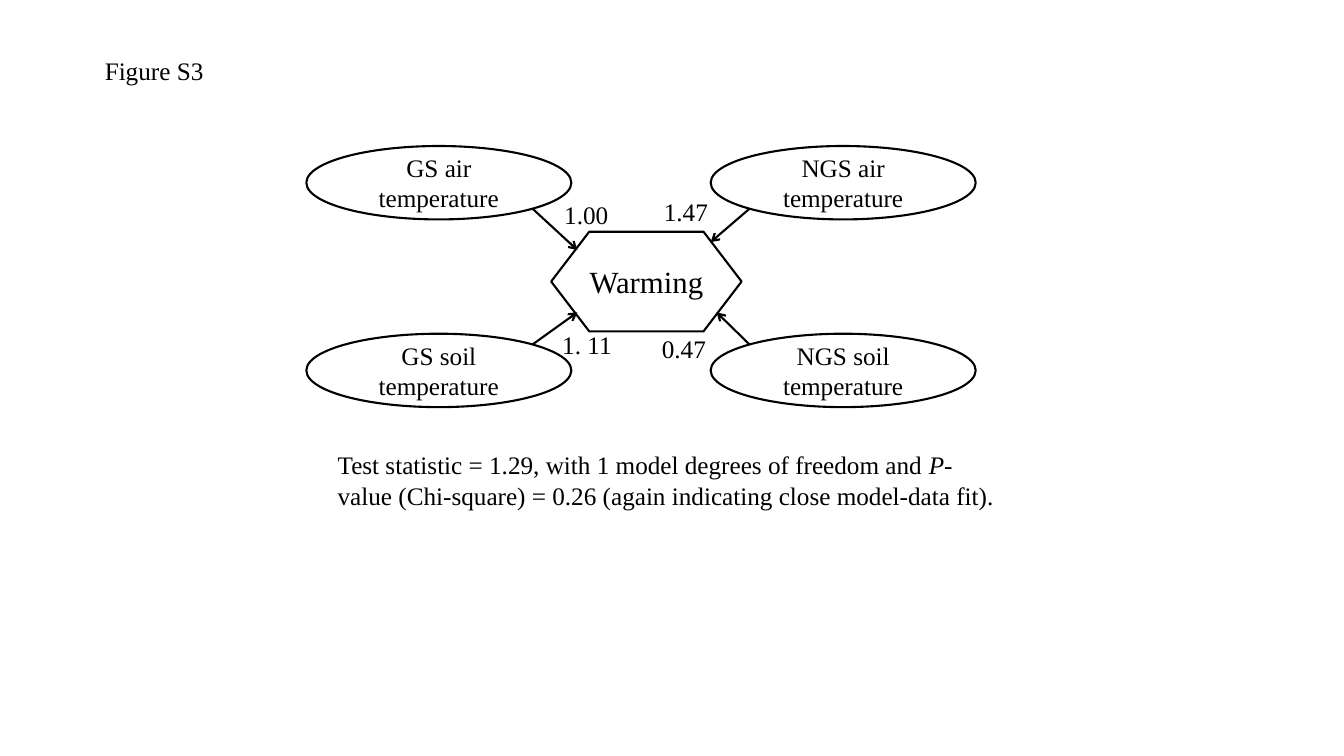
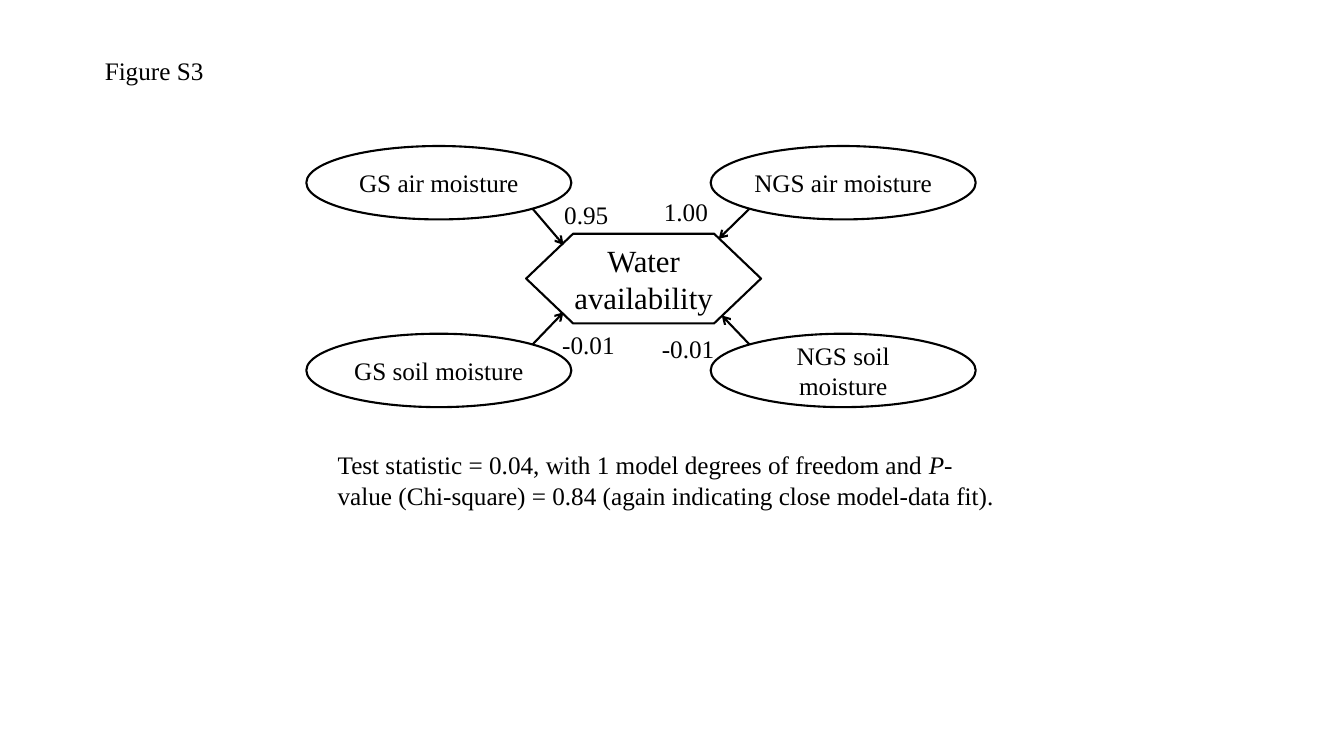
from itertools import product
from pptx import Presentation
from pptx.dml.color import RGBColor
from pptx.enum.shapes import MSO_CONNECTOR, MSO_SHAPE
from pptx.enum.text import MSO_ANCHOR, MSO_AUTO_SIZE, PP_ALIGN
from pptx.oxml.ns import qn
from pptx.util import Cm, Pt
from lxml import etree

# Style
BLACK = RGBColor(0, 0, 0)
WHITE = RGBColor(255, 255, 255)
FONT = "Times New Roman"
LEFT, CENTER = PP_ALIGN.LEFT, PP_ALIGN.CENTER
TOP, MIDDLE = MSO_ANCHOR.TOP, MSO_ANCHOR.MIDDLE
GROW = MSO_AUTO_SIZE.SHAPE_TO_FIT_TEXT
OVAL, HEX = MSO_SHAPE.OVAL, MSO_SHAPE.FLOWCHART_PREPARATION
STRAIGHT = MSO_CONNECTOR.STRAIGHT
TITLE_ONLY = 5

# Grid of factors in cm: left column first, top to bottom
COLS, ROWS = (7.72, 17.91), (3.68, 8.41)
OVAL_W, OVAL_H = 6.68, 1.85
DIAG = 0.5 ** 0.5
LABELS = ((13.97, 4.9), (13.92, 8.18), (16.48, 4.83), (16.43, 8.28))


def write(frame, *runs, size=18, align=LEFT, anchor=TOP, wrap=True, side=0.25):
    """Fill a frame with runs; every second run is italic."""
    frame.word_wrap = wrap
    frame.vertical_anchor = anchor
    frame.margin_left = frame.margin_right = Cm(side)
    frame.margin_top = frame.margin_bottom = Cm(0.13)
    para = frame.paragraphs[0]
    para.alignment = align
    for i, text in enumerate(runs):
        run = para.add_run()
        run.text = text
        font = run.font
        font.name, font.size, font.italic = FONT, Pt(size), i % 2 == 1
        font.color.rgb = BLACK


class Deck:
    def __init__(self):
        self.prs = Presentation()
        self.prs.slide_width, self.prs.slide_height = Cm(33.87), Cm(19.05)

    def start(self, title):
        layout = self.prs.slide_layouts[TITLE_ONLY]
        self.slide = self.prs.slides.add_slide(layout)
        head = self.slide.shapes.title
        head.left, head.top, head.width, head.height = map(Cm, (2.39, 1.27, 3.07, 1.02))
        write(head.text_frame, title, wrap=False)
        head.text_frame.auto_size = GROW

    def outline(self, item):
        item.line.color.rgb = BLACK
        item.line.width = Pt(1.5)

    def node(self, kind, box, text, size=18, fill=None):
        shape = self.slide.shapes.add_shape(kind, *map(Cm, box))
        shape.shadow.inherit = False
        if fill is None:
            shape.fill.background()
        else:
            shape.fill.solid()
            shape.fill.fore_color.rgb = fill
        self.outline(shape)
        write(shape.text_frame, text, size=size, align=CENTER, anchor=MIDDLE, side=0)

    def arrow(self, start, end):
        link = self.slide.shapes.add_connector(STRAIGHT, *map(Cm, (*start, *end)))
        self.outline(link)
        etree.SubElement(link.line._get_or_add_ln(), qn("a:tailEnd"), type="arrow")
        etree.SubElement(link._element.spPr, qn("a:effectLst"))

    def text(self, box, *runs, wrap=True):
        frame = self.slide.shapes.add_textbox(*map(Cm, box)).text_frame
        write(frame, *runs, wrap=wrap)
        frame.auto_size = GROW


# Content: hub, factor kind, arrow tips, weights with label widths, test values
MODELS = (
    ("Warming", (13.89, 5.84, 4.8, 2.51), "temperature",
     ((14.55, 6.3), (14.55, 7.87), (17.91, 6.1), (18.06, 7.87)),
     (("1.00", 1.63), ("1. 11", 1.78), ("1.47", 1.63), ("0.47", 1.63)),
     "1.29", "0.26"),
    ("Water availability", (13.26, 5.89, 5.92, 2.26), "moisture",
     ((14.2, 6.17), (14.2, 7.87), (18.11, 6.02), (18.19, 7.95)),
     (("0.95", 1.63), ("-0.01", 1.85), ("1.00", 1.63), ("-0.01", 1.85)),
     "0.04", "0.84"),
)

deck = Deck()
for hub, box, kind, tips, weights, stat, prob in MODELS:
    deck.start("Figure S3")
    deck.node(HEX, box, hub, size=22)

    # Factors, each with an arrow from its inner diagonal point
    cells = product(zip(COLS, ("GS", "NGS"), (1, -1)),
                    zip(ROWS, ("air", "soil"), (1, -1)))
    for ((x, season, dx), (y, place, dy)), tip in zip(cells, tips):
        deck.node(OVAL, (x, y, OVAL_W, OVAL_H), f"{season} {place} {kind}", fill=WHITE)
        start = (x + OVAL_W / 2 * (1 + dx * DIAG), y + OVAL_H / 2 * (1 + dy * DIAG))
        deck.arrow(start, tip)

    # Weights and test result
    for spot, (weight, width) in zip(LABELS, weights):
        deck.text((*spot, width, 1.02), weight, wrap=False)
    deck.text((8.26, 11.2, 17.35, 1.8),
              f"Test statistic = {stat}, with 1 model degrees of freedom and ", "P",
              f"-value (Chi-square) = {prob} (again indicating close model-data fit).")

deck.prs.save("out.pptx")
